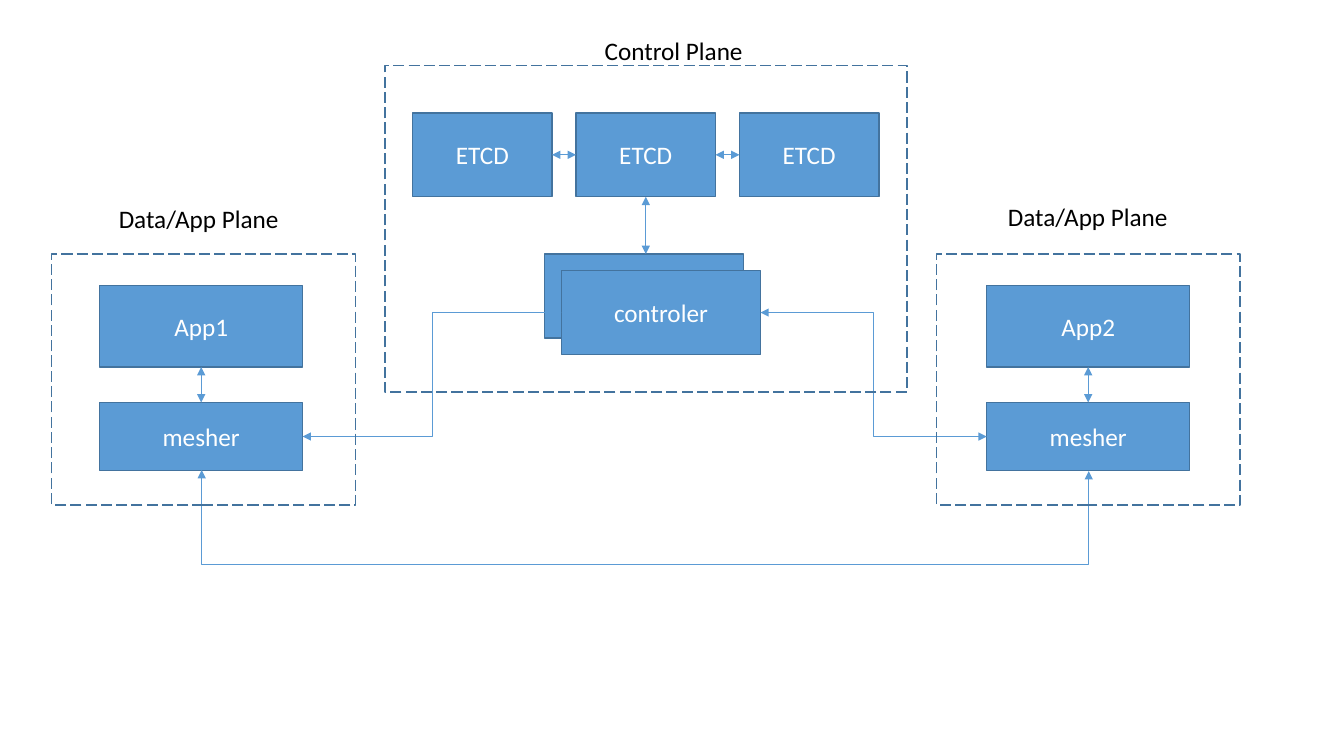
"""Build a service mesh slide, with all lengths given as percentages of the slide."""
from dataclasses import dataclass, replace

from lxml.etree import SubElement
from pptx import Presentation
from pptx.dml.color import RGBColor
from pptx.enum.dml import MSO_LINE
from pptx.enum.shapes import MSO_CONNECTOR, MSO_SHAPE
from pptx.enum.text import MSO_ANCHOR, MSO_AUTO_SIZE, PP_ALIGN
from pptx.oxml.ns import qn
from pptx.shapes.autoshape import Shape
from pptx.shapes.connector import Connector
from pptx.slide import Slide
from pptx.text.text import TextFrame
from pptx.util import Inches, Pt

SLIDE_WIDTH = Inches(13.33)
SLIDE_HEIGHT = Inches(7.5)
FILL, OUTLINE, WHITE, BLACK = "5B9BD5", "43739E", "FFFFFF", "000000"
Point = tuple[float, float]


@dataclass(frozen=True)
class Box:
    left: float
    top: float
    width: float
    height: float
    text: str = ""

    @property
    def right(self) -> float:
        return self.left + self.width

    @property
    def bottom(self) -> float:
        return self.top + self.height

    @property
    def center(self) -> float:
        return self.left + self.width / 2

    @property
    def middle(self) -> float:
        return self.top + self.height / 2

    def moved(self, across: float, down: float = 0) -> "Box":
        return replace(self, left=self.left + across, top=self.top + down)


def color(value: str) -> RGBColor:
    return RGBColor.from_string(value)


def x(share: float) -> int:
    return round(SLIDE_WIDTH * share / 100)


def y(share: float) -> int:
    return round(SLIDE_HEIGHT * share / 100)


def place(box: Box) -> tuple[int, int, int, int]:
    return x(box.left), y(box.top), x(box.width), y(box.height)


def write(text_frame: TextFrame, text: str, font_color: str) -> None:
    text_frame.text = text
    font = text_frame.paragraphs[0].runs[0].font
    font.name = "Calibri"
    font.size = Pt(18)
    font.color.rgb = color(font_color)


def draw_outline(slide: Slide, box: Box) -> Shape:
    shape = slide.shapes.add_shape(MSO_SHAPE.RECTANGLE, *place(box))
    shape.shadow.inherit = False
    shape.line.color.rgb = color(OUTLINE)
    shape.line.width = Pt(1)
    return shape


def draw_node(slide: Slide, box: Box) -> None:
    shape = draw_outline(slide, box)
    shape.fill.solid()
    shape.fill.fore_color.rgb = color(FILL)
    write(shape.text_frame, box.text, WHITE)
    shape.text_frame.vertical_anchor = MSO_ANCHOR.MIDDLE
    shape.text_frame.paragraphs[0].alignment = PP_ALIGN.CENTER


def draw_plane(slide: Slide, box: Box) -> None:
    shape = draw_outline(slide, box)
    shape.fill.background()
    shape.line.dash_style = MSO_LINE.LONG_DASH


def draw_label(slide: Slide, box: Box) -> None:
    text_frame = slide.shapes.add_textbox(*place(box)).text_frame
    write(text_frame, box.text, BLACK)
    text_frame.word_wrap = False
    text_frame.auto_size = MSO_AUTO_SIZE.SHAPE_TO_FIT_TEXT


def style_arrow(connector: Connector) -> None:
    connector.line.color.rgb = color(FILL)
    connector.line.width = Pt(0.5)
    line = connector.line._get_or_add_ln()
    for end in ("a:headEnd", "a:tailEnd"):
        SubElement(line, qn(end), type="triangle")
    SubElement(connector._element.spPr, qn("a:effectLst"))


def draw_arrow(slide: Slide, start: Point, end: Point) -> None:
    straight = start[0] == end[0] or start[1] == end[1]
    kind = MSO_CONNECTOR.STRAIGHT if straight else MSO_CONNECTOR.ELBOW
    style_arrow(slide.shapes.add_connector(kind, x(start[0]), y(start[1]), x(end[0]), y(end[1])))


def draw_loop(slide: Slide, first: Box, last: Box, drop: float) -> None:
    thickness = Inches(0.01)
    center = x((first.center + last.center) / 2)
    middle = y(first.bottom)
    reach = x(last.center - first.center) // 2
    connector = slide.shapes.add_connector(
        MSO_CONNECTOR.ELBOW, center + thickness, middle - reach, center, middle + reach
    )
    properties = connector._element.spPr
    properties.find(qn("a:xfrm")).set("rot", str(270 * 60000))
    adjustments = properties.find(qn("a:prstGeom")).get_or_add_avLst()
    bend = round(y(drop) / thickness * 100000)
    SubElement(adjustments, qn("a:gd"), name="adj1", fmla=f"val {bend}")
    style_arrow(connector)


def main() -> None:
    presentation = Presentation()
    presentation.slide_width = SLIDE_WIDTH
    presentation.slide_height = SLIDE_HEIGHT
    slide = presentation.slides.add_slide(presentation.slide_layouts[6])

    stores = [Box(30.7 + 12.16 * column, 14.93, 10.38, 11.1, "ETCD") for column in range(3)]
    standby = Box(40.53, 33.6, 14.8, 11.1, "controler")
    controller = standby.moved(1.25, 2.2)
    apps = [Box(7.42 + 66 * side, 37.8, 15.1, 10.75, f"App{side + 1}") for side in range(2)]
    meshers = [Box(app.left, 53.25, app.width, 9, "mesher") for app in apps]
    control_plane = Box(28.64, 8.67, 38.84, 43.2)
    data_plane = Box(3.85, 33.6, 22.6, 33.2)
    data_label = Box(8.1, 26.27, 13.58, 5.33, "Data/App Plane")

    for node in (standby, controller, *stores, *apps, *meshers):
        draw_node(slide, node)

    for store, neighbor in zip(stores, stores[1:]):
        draw_arrow(slide, (store.right, store.middle), (neighbor.left, neighbor.middle))
    draw_arrow(slide, (stores[1].center, stores[1].bottom), (stores[1].center, standby.top))
    for app, mesher in zip(apps, meshers):
        draw_arrow(slide, (app.center, app.bottom), (app.center, mesher.top))
    left_mesher, right_mesher = meshers
    draw_arrow(slide, (controller.left, controller.middle), (left_mesher.right, left_mesher.middle))
    draw_arrow(slide, (controller.right, controller.middle), (right_mesher.left, right_mesher.middle))
    draw_loop(slide, left_mesher, right_mesher, 12.7)

    for plane in (data_plane, data_plane.moved(65.83), control_plane):
        draw_plane(slide, plane)
    control_label = Box(44.25, 4, 11.93, 5.33, "Control Plane")
    for label in (control_label, data_label, data_label.moved(66.15, -0.3)):
        draw_label(slide, label)

    presentation.save("out.pptx")


if __name__ == "__main__":
    main()
